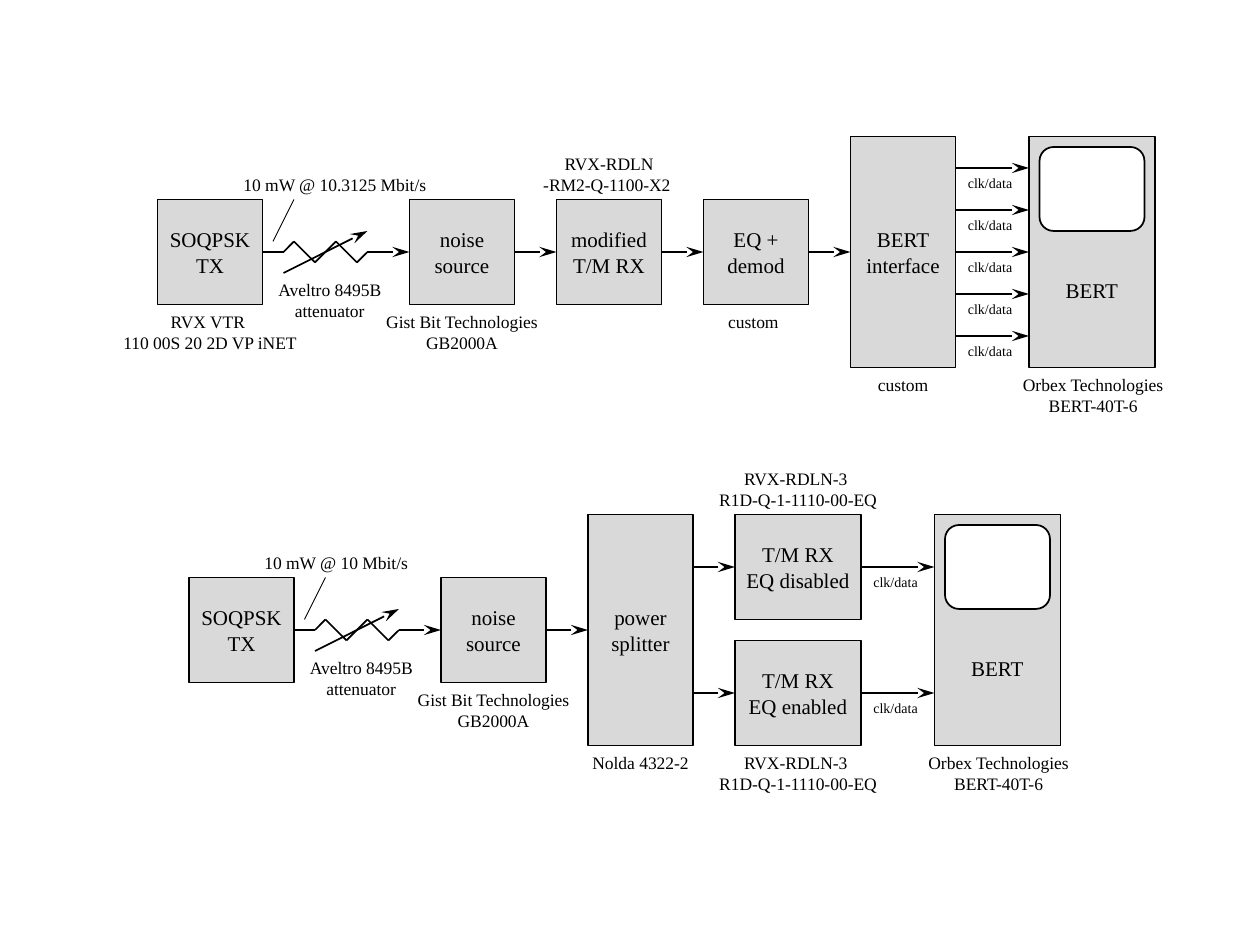
from lxml.etree import SubElement
from pptx import Presentation
from pptx.dml.color import RGBColor
from pptx.enum.shapes import MSO_CONNECTOR, MSO_SHAPE
from pptx.enum.text import MSO_ANCHOR, PP_ALIGN
from pptx.oxml.ns import qn
from pptx.util import Pt

PX = 7620  # EMU per px, 120 px to the inch
THEME = {
    "font": "Times New Roman",
    "ink": RGBColor(0, 0, 0),
    "box": RGBColor(0xD9, 0xD9, 0xD9),
    "screen": RGBColor(255, 255, 255),
    "body": Pt(12), "note": Pt(10), "small": Pt(8),
    "line": Pt(1), "thin": Pt(0.5),
}

deck = Presentation()
deck.slide_width, deck.slide_height = 1200 * PX, 900 * PX
shapes = deck.slides.add_slide(deck.slide_layouts[6]).shapes


def write(shape, text, size, align=PP_ALIGN.CENTER, pad=0, top=6):
    """Set one paragraph per line of text; pad and top are insets in px."""
    frame = shape.text_frame
    insets = {"margin_left": pad, "margin_right": pad,
              "margin_top": top, "margin_bottom": 6}
    for name, value in insets.items():
        setattr(frame, name, value * PX)
    frame.word_wrap = align == PP_ALIGN.CENTER
    frame.text = text
    for para in frame.paragraphs:
        para.alignment = align
        para.font.name, para.font.size = THEME["font"], THEME[size]
        para.font.color.rgb = THEME["ink"]


def wire(start, end, head=True, width="line", source=None, target=None, home=shapes):
    """Draw a line, joined to the right side of source and left side of target."""
    line = home.add_connector(MSO_CONNECTOR.STRAIGHT, *(v * PX for v in start + end))
    line.line.color.rgb, line.line.width = THEME["ink"], THEME[width]
    props = line._element.spPr
    if head:
        SubElement(props.find(qn("a:ln")), qn("a:tailEnd"),
                   type="stealth", w="med", len="lg")
    SubElement(props, qn("a:effectLst"))
    if source:
        line.begin_connect(source, 3)
    if target:
        line.end_connect(target, 1)


# Blocks: name, text, left, top, width, height
blocks = [
    ("tx1", "SOQPSK\nTX", 150, 190, 100, 100),
    ("noise1", "noise\nsource", 390, 190, 100, 100),
    ("rx1", "modified\nT/M RX", 530, 190, 100, 100),
    ("eq", "EQ +\ndemod", 670, 190, 100, 100),
    ("face", "BERT\ninterface", 810, 130, 100, 220),
    ("bert1", "BERT", 980, 130, 120, 220),
    ("tx2", "SOQPSK\nTX", 180, 550, 100, 100),
    ("noise2", "noise\nsource", 420, 550, 100, 100),
    ("split", "power\nsplitter", 560, 490, 100, 220),
    ("off", "T/M RX\nEQ disabled", 700, 490, 120, 100),
    ("on", "T/M RX\nEQ enabled", 700, 610, 120, 100),
    ("bert2", "BERT", 890, 490, 120, 220),
]
box = {}
for name, text, x, y, w, h in blocks:
    parts = [(MSO_SHAPE.RECTANGLE, "box", x, y, w, h)]
    if text == "BERT":
        parts.append((MSO_SHAPE.ROUNDED_RECTANGLE, "screen", x + 10, y + 10, 100, 80))
    drawn = []
    for kind, fill, *rect in parts:
        shape = shapes.add_shape(kind, *(v * PX for v in rect))
        shape.shadow.inherit = False
        shape.fill.solid()
        shape.fill.fore_color.rgb = THEME[fill]
        shape.line.color.rgb, shape.line.width = THEME["ink"], THEME["line"]
        drawn.append(shape)
    box[name] = drawn[0]
    box[name].text_frame.vertical_anchor = MSO_ANCHOR.MIDDLE
    write(box[name], text, "body", top=79 if text == "BERT" else 6)

# Arrows between blocks: from, to, height of the arrow
links = [("noise1", "rx1", 240), ("rx1", "eq", 240), ("eq", "face", 240),
         ("noise2", "split", 600), ("split", "off", 540), ("split", "on", 660),
         ("off", "bert2", 540), ("on", "bert2", 660)]
links += [("face", "bert1", y) for y in range(160, 321, 40)]
notes = []
for a, b, y in links:
    source, target = box[a], box[b]
    left, right = (source.left + source.width) // PX, target.left // PX
    mids = [(s.top + s.height // 2) // PX == y for s in (source, target)]
    wire((left, y), (right, y), source=source if mids[0] else None,
         target=target if mids[1] else None)
    if b in ("bert1", "bert2"):
        notes.append(("clk/data", left, y, 67, "small", PP_ALIGN.LEFT))

# Variable attenuator between each transmitter and its noise source
zigzag = [(0, 0), (10, -10), (30, 10), (50, -10), (70, 10), (80, 0)]
for row, x, y in (("1", 270, 240), ("2", 300, 600)):
    wire((x - 20, y), (x, y), head=False, source=box["tx" + row])
    group = shapes.add_group_shape()
    points = [(x + dx, y + dy) for dx, dy in zigzag]
    for start, end in zip(points, points[1:]):
        wire(start, end, head=False, home=group.shapes)
    wire((x, y + 20), (x + 80, y - 20))
    wire((x + 80, y), (x + 120, y), target=box["noise" + row])
    wire((x + 10, y - 50), (x - 10, y - 10), head=False, width="thin")
    notes += [
        ("Aveltro 8495B\nattenuator", x - 20, y + 20, 128, "note", PP_ALIGN.CENTER),
        ("Gist Bit Technologies\nGB2000A", x + 80, y + 50, 180, "note", PP_ALIGN.CENTER),
    ]

# Labels: text, left, top, width, size, alignment
notes += [
    ("10 mW @ 10.3125 Mbit/s", 220, 160, 200, "note", PP_ALIGN.LEFT),
    ("10 mW @ 10 Mbit/s", 240, 520, 163, "note", PP_ALIGN.LEFT),
]
for text, x, y, w in (
    ("RVX VTR \n110 00S 20 2D VP iNET", 110, 290, 180),
    ("RVX-RDLN\n-RM2-Q-1100-X2 ", 500, 140, 160),
    ("custom", 670, 290, 95),
    ("custom", 810, 350, 100),
    ("Orbex Technologies\nBERT-40T-6", 960, 350, 162),
    ("RVX-RDLN-3 \nR1D-Q-1-1110-00-EQ", 670, 440, 180),
    ("RVX-RDLN-3 \nR1D-Q-1-1110-00-EQ", 670, 710, 180),
    ("Nolda 4322-2", 560, 710, 100),
    ("Orbex Technologies\nBERT-40T-6", 870, 710, 162),
):
    notes.append((text, x, y, w, "note", PP_ALIGN.CENTER))
for text, x, y, w, size, align in notes:
    high = 29 if size == "small" else 12 + 20 * len(text.split("\n"))
    label = shapes.add_textbox(x * PX, y * PX, w * PX, high * PX)
    write(label, text, size, align, pad=12 if align == PP_ALIGN.LEFT else 0)

deck.save("out.pptx")
